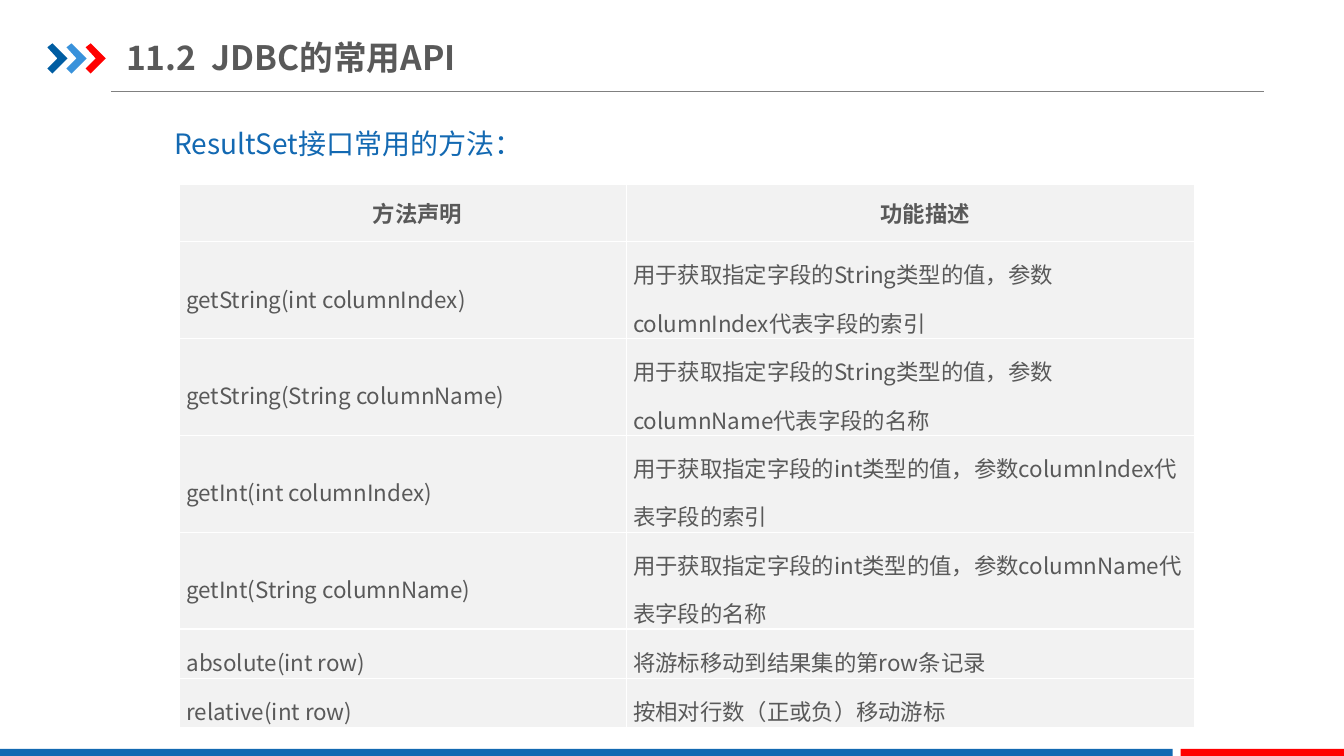
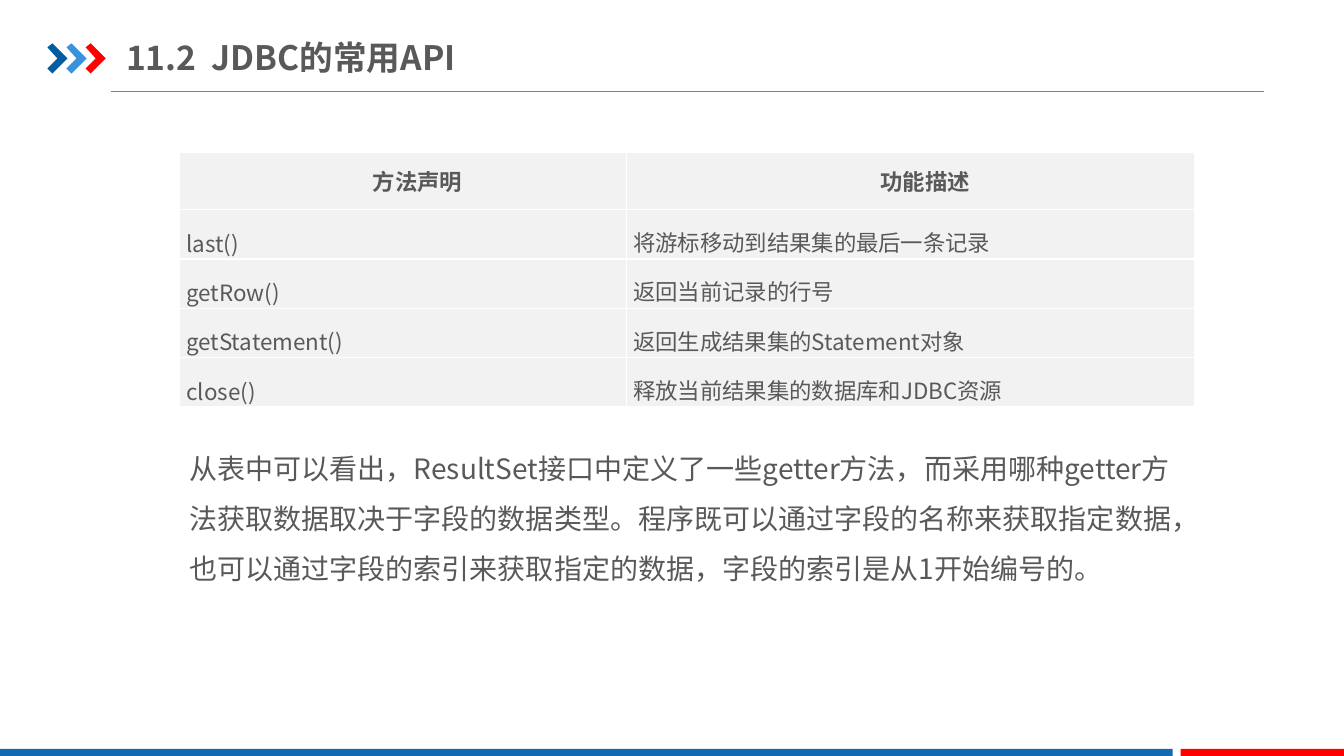
"""Two slides on the common JDBC API: the methods of the ResultSet interface."""
from lxml.etree import SubElement
from pptx import Presentation
from pptx.dml.color import RGBColor
from pptx.enum.shapes import MSO_CONNECTOR, MSO_SHAPE
from pptx.enum.text import MSO_ANCHOR, MSO_AUTO_SIZE, PP_ALIGN
from pptx.oxml import parse_xml
from pptx.oxml.ns import nsdecls, qn
from pptx.util import Inches, Pt

FONT = "Noto Sans CJK SC"
COLORS = {
    "text": "595959",
    "blue": "1369B2",
    "dark_blue": "005DA2",
    "light_blue": "3992DB",
    "red": "FF0000",
    "rule": "808080",
    "cell": "F2F2F2",
    "border": "FFFFFF",
}
LEFT, WIDTH = 1.78, 10.07
COLUMNS = (4.43, 5.64)
HEADER_HEIGHT, ROW_HEIGHT = 0.57, 0.49
HEADER = ("方法声明", "功能描述")
TITLE = "11.2  JDBC的常用API"

PAGES = [
    (1.83, [
        ("getString(int columnIndex)", "用于获取指定字段的String类型的值，参数columnIndex代表字段的索引"),
        ("getString(String columnName)", "用于获取指定字段的String类型的值，参数columnName代表字段的名称"),
        ("getInt(int columnIndex)", "用于获取指定字段的int类型的值，参数columnIndex代表字段的索引"),
        ("getInt(String columnName)", "用于获取指定字段的int类型的值，参数columnName代表字段的名称"),
        ("absolute(int row)", "将游标移动到结果集的第row条记录"),
        ("relative(int row)", "按相对行数（正或负）移动游标"),
    ]),
    (1.51, [
        ("last()", "将游标移动到结果集的最后一条记录"),
        ("getRow()", "返回当前记录的行号"),
        ("getStatement()", "返回生成结果集的Statement对象"),
        ("close()", "释放当前结果集的数据库和JDBC资源"),
    ]),
]


def add_text(paragraph, text, size, color="text", bold=False):
    run = paragraph.add_run()
    run.text = text
    run.font.size = Pt(size)
    run.font.bold = bold
    run.font.name = FONT
    run.font.color.rgb = RGBColor.from_string(COLORS[color])
    SubElement(run.font._element, qn("a:ea"), typeface=FONT)


def paint(shape, color):
    shape.fill.solid()
    shape.fill.fore_color.rgb = RGBColor.from_string(COLORS[color])
    shape.line.fill.background()
    shape.shadow.inherit = False


prs = Presentation()
prs.slide_width, prs.slide_height = Inches(13.33), Inches(7.5)
layout = prs.slide_layouts[5]
for placeholder in list(layout.placeholders):
    if placeholder.placeholder_format.idx == 0:
        placeholder.left, placeholder.top = Inches(1.25), Inches(0.29)
        placeholder.width, placeholder.height = Inches(5.11), Inches(0.55)
    else:
        layout.shapes.element.remove(placeholder.element)

slides = [prs.slides.add_slide(layout) for _ in PAGES]
canvas = slides[0].shapes

title_rule = canvas.add_connector(
    MSO_CONNECTOR.STRAIGHT, Inches(1.1), Inches(0.91), Inches(12.54), Inches(0.91))
title_rule.line.color.rgb = RGBColor.from_string(COLORS["rule"])
title_rule.line.width = Pt(0.75)
SubElement(title_rule.element.spPr, qn("a:effectLst"))
shared = [title_rule]

chevron = [(0, 0.04), (0.05, 0), (0.2, 0.15), (0.05, 0.3), (0, 0.25), (0.1, 0.15)]
for index, color in enumerate(("dark_blue", "light_blue", "red")):
    points = [(Inches(0.47 + index * 0.19 + x), Inches(0.43 + y)) for x, y in chevron]
    outline = canvas.build_freeform(*points[0])
    outline.add_line_segments(points[1:], close=True)
    arrow = outline.convert_to_shape()
    paint(arrow, color)
    shared.append(arrow)

for left, width, color in ((0, 11.63, "blue"), (11.71, 1.62, "red")):
    band = canvas.add_shape(
        MSO_SHAPE.RECTANGLE, Inches(left), Inches(7.43), Inches(width), Inches(0.07))
    paint(band, color)
    shared.append(band)

for decoration in shared:
    layout.shapes.element.append(decoration.element)

for slide, (top, methods) in zip(slides, PAGES):
    heading = slide.shapes.title.text_frame
    heading.auto_size = MSO_AUTO_SIZE.NONE
    heading.vertical_anchor = MSO_ANCHOR.MIDDLE
    heading.margin_left = heading.margin_right = 0
    heading.margin_top = heading.margin_bottom = Inches(0.07)
    heading.paragraphs[0].alignment = PP_ALIGN.LEFT
    add_text(heading.paragraphs[0], TITLE, 24, bold=True)

    rows = [HEADER, *methods]
    height = HEADER_HEIGHT + ROW_HEIGHT * len(methods)
    table = slide.shapes.add_table(
        len(rows), len(COLUMNS), Inches(LEFT), Inches(top), Inches(WIDTH), Inches(height)).table
    table.horz_banding = False
    for column, width in zip(table.columns, COLUMNS):
        column.width = Inches(width)
    for row_index, texts in enumerate(rows):
        is_header = row_index == 0
        table.rows[row_index].height = Inches(HEADER_HEIGHT if is_header else ROW_HEIGHT)
        for column_index, text in enumerate(texts):
            cell = table.cell(row_index, column_index)
            cell.margin_left = cell.margin_right = Inches(0.07)
            cell.margin_top = cell.margin_bottom = 0
            centred = is_header or column_index == 0
            cell.vertical_anchor = MSO_ANCHOR.MIDDLE if centred else MSO_ANCHOR.TOP
            for side in ("lnL", "lnR", "lnT", "lnB"):
                cell._tc.get_or_add_tcPr().append(parse_xml(
                    f'<a:{side} {nsdecls("a")} w="{Pt(1)}"><a:solidFill>'
                    f'<a:srgbClr val="{COLORS["border"]}"/></a:solidFill></a:{side}>'))
            cell.fill.solid()
            cell.fill.fore_color.rgb = RGBColor.from_string(COLORS["cell"])
            paragraph = cell.text_frame.paragraphs[0]
            if is_header:
                paragraph.alignment = PP_ALIGN.CENTER
                paragraph._p.get_or_add_pPr().set("indent", str(Inches(0.29)))
            else:
                paragraph.line_spacing = 1.5
            add_text(paragraph, text, 16, bold=is_header)

subtitle = slides[0].shapes.add_textbox(
    Inches(1.63), Inches(1.21), Inches(3.65), Inches(0.44)).text_frame
subtitle.word_wrap = False
subtitle.auto_size = MSO_AUTO_SIZE.SHAPE_TO_FIT_TEXT
add_text(subtitle.paragraphs[0], "ResultSet接口常用的方法：", 20, "blue")

summary = slides[1].shapes.add_textbox(
    Inches(LEFT), Inches(4.26), Inches(WIDTH), Inches(1.61)).text_frame
summary.word_wrap = True
summary.auto_size = MSO_AUTO_SIZE.SHAPE_TO_FIT_TEXT
summary.paragraphs[0].line_spacing = 1.5
add_text(
    summary.paragraphs[0],
    "从表中可以看出，ResultSet接口中定义了一些getter方法，而采用哪种getter方法获取数据取决于字段的数据类型。"
    "程序既可以通过字段的名称来获取指定数据，也可以通过字段的索引来获取指定的数据，字段的索引是从1开始编号的。",
    20)

prs.save("out.pptx")
